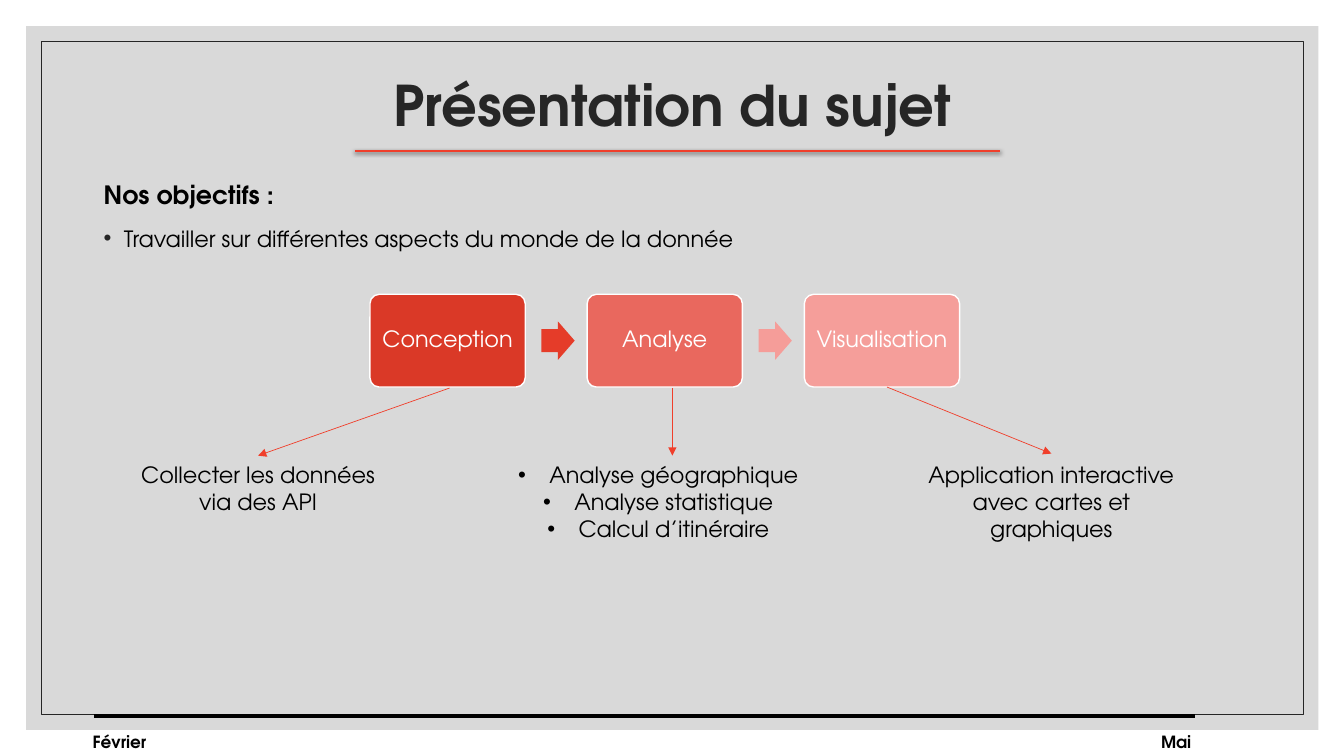
from lxml.etree import SubElement
from pptx import Presentation
from pptx.dml.color import RGBColor
from pptx.enum.shapes import MSO_CONNECTOR as Connector, MSO_SHAPE as Preset
from pptx.enum.text import MSO_ANCHOR as Anchor, MSO_AUTO_SIZE as AutoSize, PP_ALIGN as Align
from pptx.oxml.ns import qn
from pptx.util import Inches, Pt

WIDTH, HEIGHT = Inches(13.333), Inches(7.5)
FONT = "TeX Gyre Adventor"
BLACK, DARK, WHITE, RED = "000000", "262626", "FFFFFF", "F03F2B"
STEP_LEFT, STEP_PITCH = 27.53, 16.16
STEPS = [("Conception", "DA3927"), ("Analyse", "E9685E"), ("Visualisation", "F59E9A")]
ARROWS = ["E53C29", "F59D99"]
NOTES = [
    (8.78, 20.85, ["Collecter les données via des API"]),
    (37.28, 23.4, ["Analyse géographique", "Analyse statistique", "Calcul d’itinéraire"]),
    (67.8, 20.85, ["Application interactive avec cartes et graphiques"]),
]
LINKS = [(33.45, 51.33, 19.2, 60.27), (50.03, 51.33, 50.03, 60.27), (66, 51.2, 78.23, 60)]
FOOTERS = [(6.15, "Février"), (85.65, "Mai")]


def color(value):
    return RGBColor.from_string(value)


def share(*percents):
    return [round((HEIGHT if i % 2 else WIDTH) * p / 100) for i, p in enumerate(percents)]


def assign(target, **values):
    for name, value in values.items():
        setattr(target, name, value)


def add_panel(slide, preset, box, fill=None, line=None, weight=1, adjustments=()):
    shape = slide.shapes.add_shape(preset, *share(*box))
    shape.shadow.inherit = False
    for index, value in enumerate(adjustments):
        shape.adjustments[index] = value
    if fill:
        shape.fill.solid()
        shape.fill.fore_color.rgb = color(fill)
    else:
        shape.fill.background()
    if line:
        shape.line.color.rgb = color(line)
        shape.line.width = Pt(weight)
    else:
        shape.line.fill.background()
    return shape


def write(paragraph, text, size=16, ink=BLACK, bold=False, **layout):
    run = paragraph.add_run()
    run.text = text
    assign(run.font, name=FONT, size=Pt(size), bold=bold)
    run.font.color.rgb = color(ink)
    assign(paragraph, **layout)


def add_bullet(paragraph, indent, ink=BLACK):
    properties = paragraph._p.get_or_add_pPr()
    properties.set("marL", str(Inches(indent)))
    properties.set("indent", str(-Inches(indent)))
    tint = SubElement(properties, qn("a:buClr"))
    SubElement(tint, qn("a:srgbClr"), val=ink)
    SubElement(properties, qn("a:buFont"), typeface="Arial")
    SubElement(properties, qn("a:buChar"), char="•")


def add_text(slide, box, lines, indent=0, **style):
    frame = slide.shapes.add_textbox(*share(*box)).text_frame
    frame.word_wrap = True
    for index, line in enumerate(lines):
        paragraph = frame.add_paragraph() if index else frame.paragraphs[0]
        write(paragraph, line, **style)
        if indent:
            add_bullet(paragraph, indent)
    return frame


def add_line(slide, ends, ink, weight, arrow=False, shadow=False):
    line = slide.shapes.add_connector(Connector.STRAIGHT, *share(*ends))
    line.line.color.rgb = color(ink)
    line.line.width = Pt(weight)
    if arrow:
        SubElement(line.line._get_or_add_ln(), qn("a:tailEnd"), type="triangle")
    effects = SubElement(line._element.spPr, qn("a:effectLst"))
    if shadow:
        outer = SubElement(effects, qn("a:outerShdw"), blurRad=str(Pt(3)),
                           dist=str(Pt(1)), dir="5400000", rotWithShape="0")
        tint = SubElement(outer, qn("a:srgbClr"), val=BLACK)
        SubElement(tint, qn("a:alpha"), val="63000")


def add_step(slide, left, label, fill):
    box = (left, 38.93, 11.55, 12.27)
    frame = add_panel(slide, Preset.ROUNDED_RECTANGLE, box, fill, WHITE, 1, [0.1]).text_frame
    margin = Inches(0.05)
    assign(frame, word_wrap=True, vertical_anchor=Anchor.MIDDLE,
           margin_left=margin, margin_right=margin)
    write(frame.paragraphs[0], label, ink=WHITE, alignment=Align.CENTER, line_spacing=0.9)


def place_title(slide, text):
    title = slide.shapes.title
    slide.shapes._spTree.append(title._element)
    left, top, width, height = share(8.78, 5.6, 82.5, 17.6)
    assign(title, left=left, top=top, width=width, height=height)
    assign(title.text_frame, word_wrap=True, auto_size=AutoSize.NONE,
           vertical_anchor=Anchor.MIDDLE)
    write(title.text_frame.paragraphs[0], text, 40, DARK, True,
          alignment=Align.CENTER, line_spacing=0.9)


def add_objectives(slide):
    spacing = {"line_spacing": 1.1, "space_before": Pt(9)}
    frame = add_text(slide, (6.98, 22.67, 62.85, 18.13), ["Nos objectifs :"],
                     size=18, bold=True, **spacing)
    goal = frame.add_paragraph()
    write(goal, "Travailler sur différentes aspects du monde de la donnée", **spacing)
    add_bullet(goal, 0.2, DARK)


def main():
    presentation = Presentation()
    assign(presentation, slide_width=WIDTH, slide_height=HEIGHT)
    slide = presentation.slides.add_slide(presentation.slide_layouts[5])

    add_panel(slide, Preset.RECTANGLE, (1.95, 3.47, 96.15, 93.07), "D9D9D9")
    add_panel(slide, Preset.RECTANGLE, (3.08, 5.47, 93.9, 89.07), line=DARK, weight=0.5)
    place_title(slide, "Présentation du sujet")
    add_line(slide, (26.4, 20, 74.4, 20), RED, 1.5, shadow=True)
    add_objectives(slide)

    for index, (label, fill) in enumerate(STEPS):
        add_step(slide, STEP_LEFT + index * STEP_PITCH, label, fill)
    for index, fill in enumerate(ARROWS):
        box = (STEP_LEFT + 12.75 + index * STEP_PITCH, 42.53, 2.48, 5.07)
        add_panel(slide, Preset.RIGHT_ARROW, box, fill, adjustments=[0.6, 0.5])

    for left, width, lines in NOTES:
        add_text(slide, (left, 60.4, width, 12.13), lines,
                 indent=0.31 if len(lines) > 1 else 0, alignment=Align.CENTER)
    for ends in LINKS:
        add_line(slide, ends, RED, 0.5, arrow=True)

    add_line(slide, (6.98, 94.67, 88.95, 94.67), BLACK, 3)
    for left, month in FOOTERS:
        add_text(slide, (left, 96.2, 6.15, 4), [month], size=12, bold=True)

    presentation.save("out.pptx")


if __name__ == "__main__":
    main()
